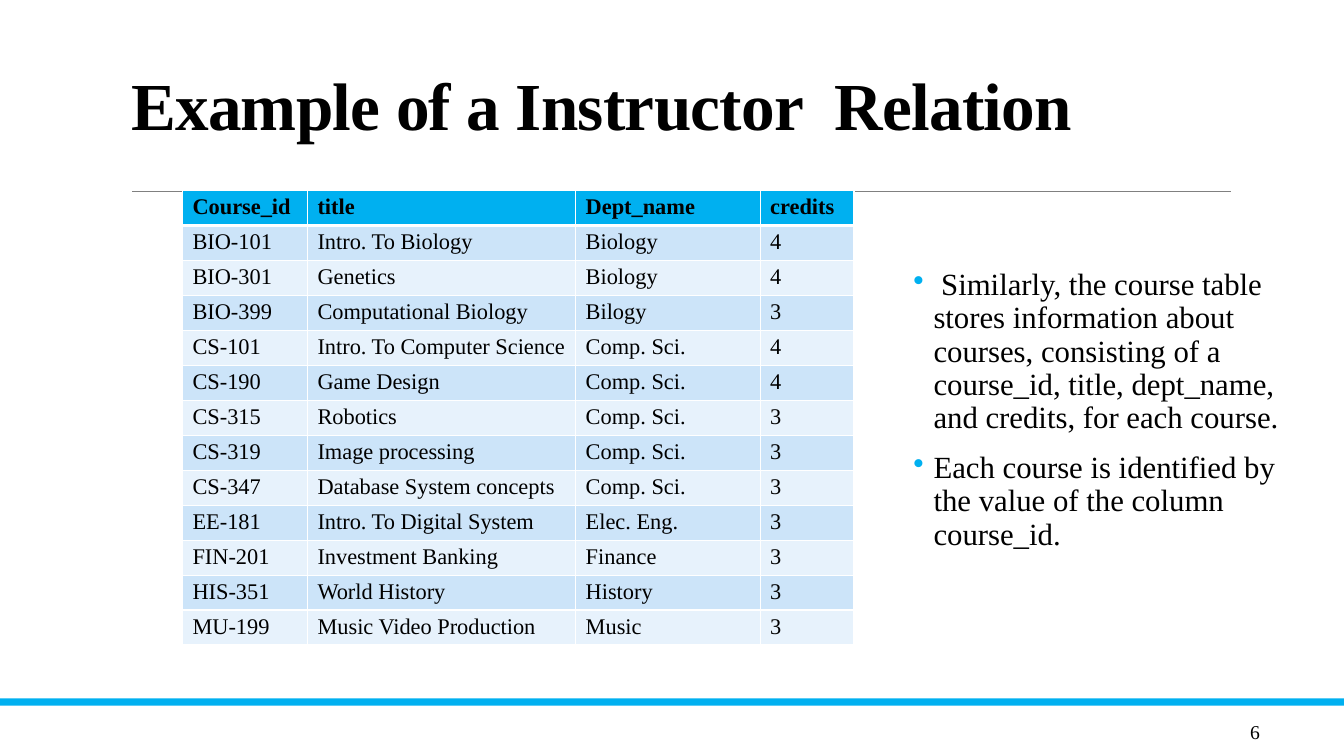
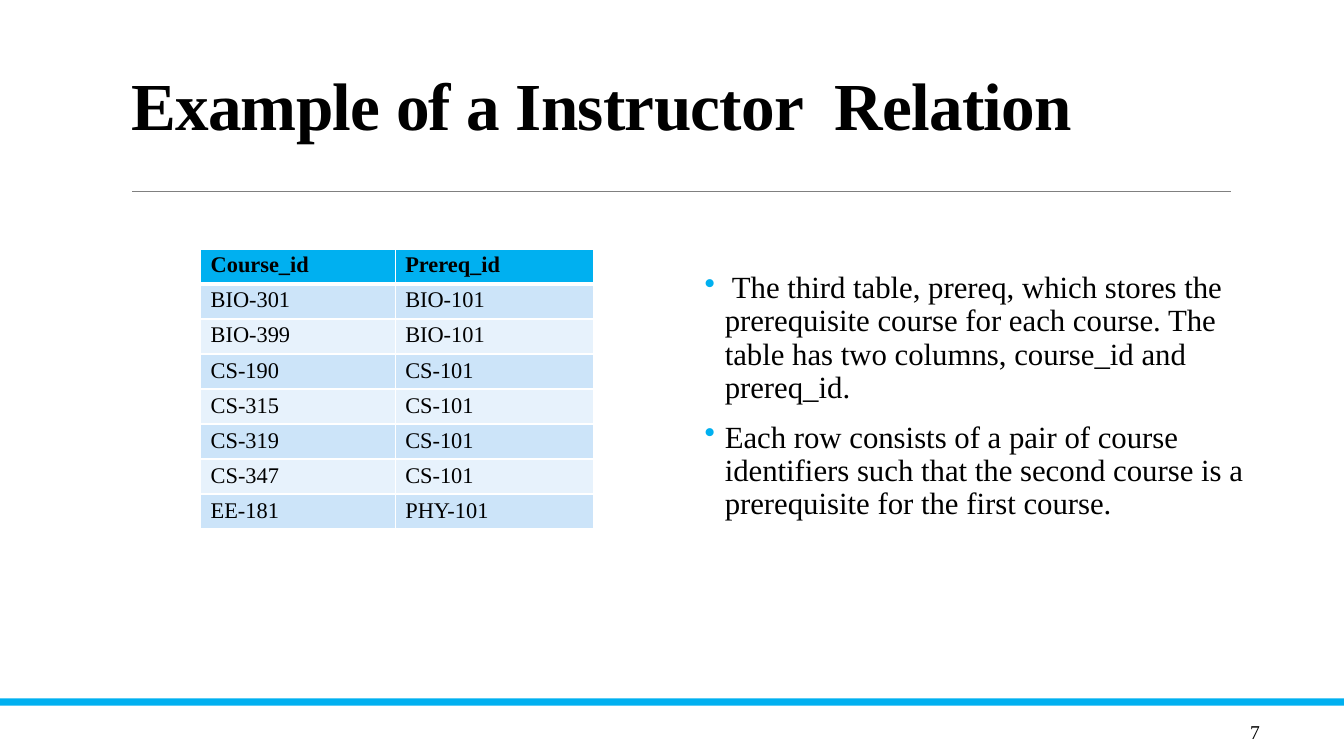
import pptx
import pptx.util
import pptx.dml.color
import pptx.enum.shapes
import pptx.enum.text
import pptx.oxml
import pptx.oxml.ns
import lxml.etree

Inches = pptx.util.Inches
Pt = pptx.util.Pt

FONT = "Times New Roman"
COLORS = {
    "text": "000000",
    "accent": "00B0F0",
    "rule": "808080",
    "row_dark": "CCE4F9",
    "row_light": "E7F2FC",
    "border": "FFFFFF",
}
TITLE = "Example of a Instructor  Relation"
COURSE_ROWS = [
    ("Course_id", "title", "Dept_name", "credits"),
    ("BIO-101", "Intro. To Biology", "Biology", "4"),
    ("BIO-301", "Genetics", "Biology", "4"),
    ("BIO-399", "Computational Biology", "Bilogy", "3"),
    ("CS-101", "Intro. To Computer Science", "Comp. Sci.", "4"),
    ("CS-190", "Game Design", "Comp. Sci.", "4"),
    ("CS-315", "Robotics", "Comp. Sci.", "3"),
    ("CS-319", "Image processing", "Comp. Sci.", "3"),
    ("CS-347", "Database System concepts", "Comp. Sci.", "3"),
    ("EE-181", "Intro. To Digital System", "Elec. Eng.", "3"),
    ("FIN-201", "Investment Banking", "Finance", "3"),
    ("HIS-351", "World History", "History", "3"),
    ("MU-199", "Music Video Production", "Music", "3"),
]
PREREQ_ROWS = [
    ("Course_id", "Prereq_id"),
    ("BIO-301", "BIO-101"),
    ("BIO-399", "BIO-101"),
    ("CS-190", "CS-101"),
    ("CS-315", "CS-101"),
    ("CS-319", "CS-101"),
    ("CS-347", "CS-101"),
    ("EE-181", "PHY-101"),
]
COURSE_NOTES = [
    " Similarly, the course table stores information about courses, consisting of a "
    "course_id, title, dept_name, and credits, for each course.",
    "Each course is identified by the value of the column course_id.",
]
PREREQ_NOTES = [
    " The third table, prereq, which stores the prerequisite course for each course. "
    "The table has two columns, course_id and prereq_id.",
    "Each row consists of a pair of course identifiers such that the second course is "
    "a prerequisite for the first course.",
]


def color(name):
    """Return the named colour."""
    return pptx.dml.color.RGBColor.from_string(COLORS[name])


def write(para, text, size, bold=False, line=None, before=None, after=None, tracking=None):
    """Write formatted text into a paragraph."""
    para.alignment = pptx.enum.text.PP_ALIGN.LEFT
    para.line_spacing = line
    para.space_before = before
    para.space_after = after
    span = para.add_run()
    span.text = text
    span.font.name = FONT
    span.font.size = Pt(size)
    span.font.bold = bold
    span.font.color.rgb = color("text")
    if tracking is not None:
        span.font._element.set("spc", str(round(tracking * 100)))


def add_bullet(para):
    """Give a paragraph a hanging accent bullet."""
    props = para._p.get_or_add_pPr()
    props.set("marL", str(Inches(0.42)))
    props.set("indent", str(Inches(-0.2)))
    tint = lxml.etree.SubElement(props, pptx.oxml.ns.qn("a:buClr"))
    lxml.etree.SubElement(tint, pptx.oxml.ns.qn("a:srgbClr"), val=COLORS["accent"])
    lxml.etree.SubElement(props, pptx.oxml.ns.qn("a:buChar"), char="•")


def add_border(cell, side, width):
    """Draw one border of a table cell."""
    props = cell._tc.get_or_add_tcPr()
    edge = lxml.etree.SubElement(props, pptx.oxml.ns.qn("a:ln" + side), w=str(Pt(width)))
    fill = lxml.etree.SubElement(edge, pptx.oxml.ns.qn("a:solidFill"))
    lxml.etree.SubElement(fill, pptx.oxml.ns.qn("a:srgbClr"), val=COLORS["border"])


def add_page(deck, number):
    """Add a slide with its title, rule, footer band and number."""
    page = deck.slides.add_slide(deck.slide_layouts[5])
    title = page.shapes.title
    title.left, title.top, title.width, title.height = map(Inches, (1.2, 0.3, 11, 1.59))
    title.text_frame.vertical_anchor = pptx.enum.text.MSO_ANCHOR.MIDDLE
    title.text_frame.word_wrap = True
    write(title.text_frame.paragraphs[0], TITLE, 48, bold=True, line=0.85, tracking=-0.5)

    band = page.shapes.add_shape(
        pptx.enum.shapes.MSO_SHAPE.RECTANGLE, 0, Inches(6.93), deck.slide_width, Inches(0.07))
    band.shadow.inherit = False
    band.fill.solid()
    band.fill.fore_color.rgb = color("accent")
    band.line.fill.background()

    rule = page.shapes.add_connector(
        pptx.enum.shapes.MSO_CONNECTOR.STRAIGHT, *map(Inches, (1.31, 1.9, 12.21, 1.9)))
    rule.line.color.rgb = color("rule")
    rule.line.width = Pt(0.5)
    lxml.etree.SubElement(rule._element.spPr, pptx.oxml.ns.qn("a:effectLst"))

    box = page.shapes.add_textbox(*map(Inches, (12.3, 7.09, 0.43, 0.34)))
    box.text_frame.word_wrap = True
    write(box.text_frame.paragraphs[0], str(number), 14)
    return page


def add_relation(page, left, top, height, widths, rows):
    """Add a relation table with a header row and striped rows."""
    table = page.shapes.add_table(
        len(rows), len(widths), Inches(left), Inches(top),
        Inches(sum(widths)), Inches(height)).table
    for column, width in zip(table.columns, widths):
        column.width = Inches(width)
    for index, values in enumerate(rows):
        table.rows[index].height = Inches(height / len(rows))
        fill = "accent" if index == 0 else "row_dark" if index % 2 else "row_light"
        borders = {"L": 1, "R": 1, "T": 3 if index == 1 else 1, "B": 3 if index == 0 else 1}
        for position, value in enumerate(values):
            cell = table.cell(index, position)
            cell.margin_top = cell.margin_bottom = Inches(0.04)
            for side, width in borders.items():
                add_border(cell, side, width)
            cell.fill.solid()
            cell.fill.fore_color.rgb = color(fill)
            write(cell.text_frame.paragraphs[0], value, 16, bold=index == 0)


def add_notes(page, left, top, width, height, notes):
    """Add a bulleted text box."""
    box = page.shapes.add_textbox(*map(Inches, (left, top, width, height)))
    frame = box.text_frame
    frame.word_wrap = True
    frame.margin_right = 0
    for index, note in enumerate(notes):
        para = frame.add_paragraph() if index else frame.paragraphs[0]
        write(para, note, 22, line=0.9, before=Pt(6), after=Pt(6))
        add_bullet(para)


def main():
    """Build and save the deck."""
    deck = pptx.Presentation()
    deck.slide_width, deck.slide_height = Inches(13.33), Inches(7.5)

    page = add_page(deck, 6)
    add_relation(page, 1.81, 1.89, 4.51, (1.24, 2.66, 1.83, 0.93), COURSE_ROWS)
    add_notes(page, 8.74, 2.62, 4.31, 4.2, COURSE_NOTES)

    page = add_page(deck, 7)
    add_relation(page, 1.99, 2.47, 2.78, (1.93, 1.97), PREREQ_ROWS)
    add_notes(page, 6.67, 2.65, 5.94, 4.2, PREREQ_NOTES)

    deck.save("out.pptx")


if __name__ == "__main__":
    main()
